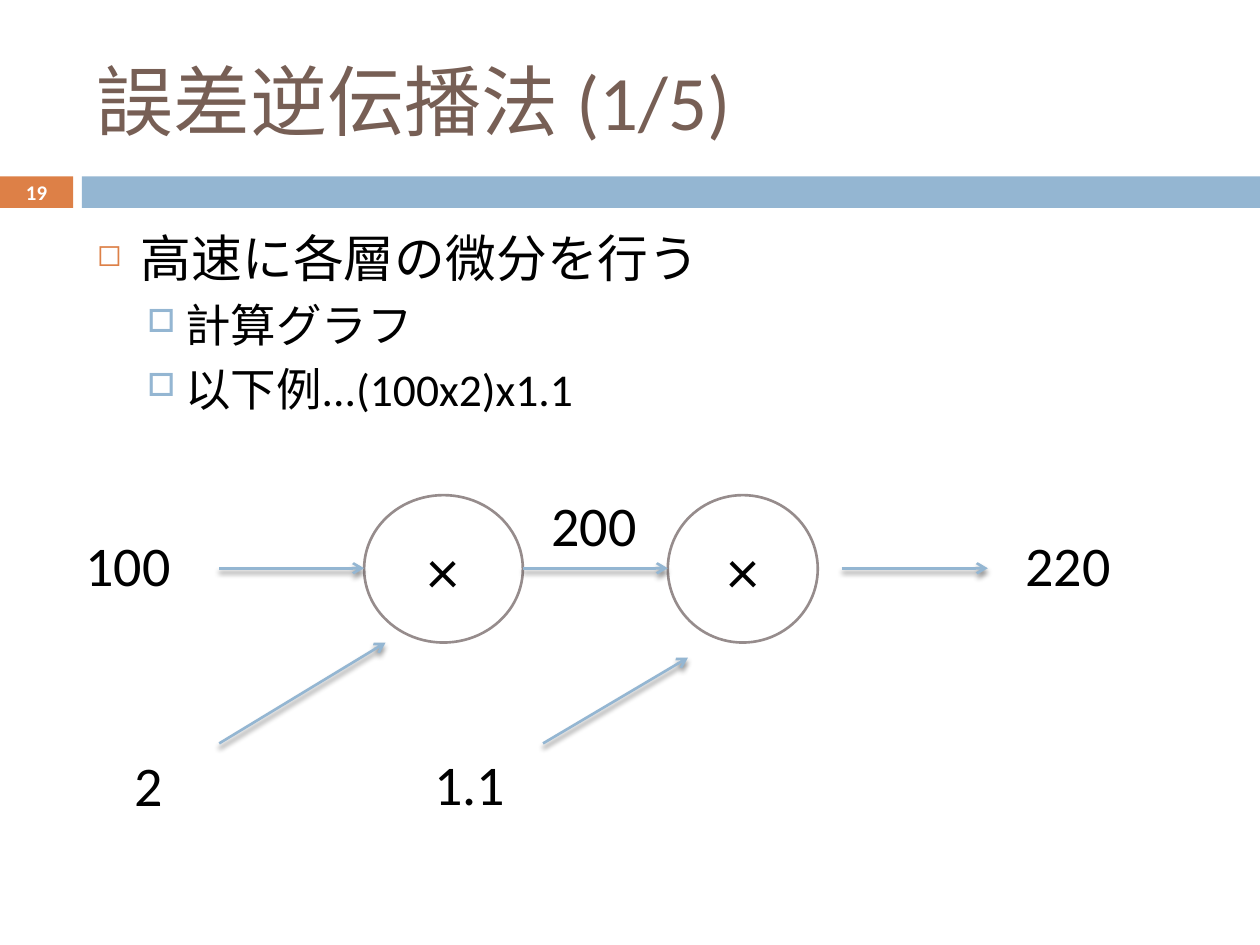
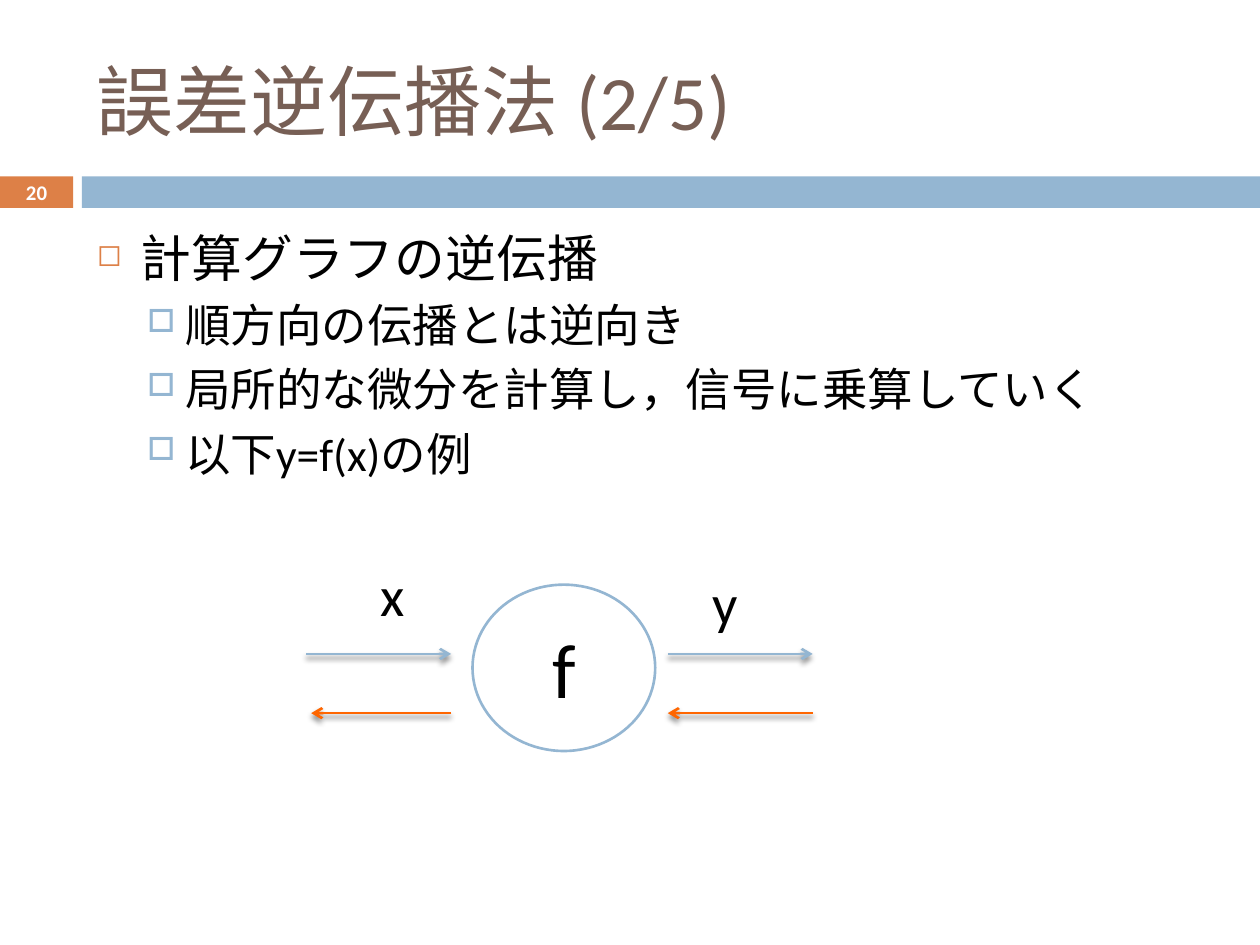
from dataclasses import dataclass
from typing import NamedTuple

from lxml.etree import SubElement
from pptx import Presentation
from pptx.dml.color import RGBColor
from pptx.enum.shapes import MSO_CONNECTOR as Connector, MSO_SHAPE as Shape
from pptx.enum.text import MSO_ANCHOR as Anchor, MSO_AUTO_SIZE as AutoSize, PP_ALIGN as Align
from pptx.oxml.ns import qn
from pptx.util import Inches, Pt


@dataclass(frozen=True)
class Theme:
    font: str = "Calibri"
    white: str = "FFFFFF"
    black: str = "000000"
    brown: str = "775F55"
    orange: str = "DD8047"
    blue: str = "94B6D2"
    grey: str = "968C8C"
    backward: str = "FF6600"
    title_size: float = 44
    number_size: float = 11.9
    label_size: float = 32
    operator_size: float = 36
    function_size: float = 44
    line_width: float = 1.5


class Box(NamedTuple):
    left: float
    top: float
    width: float
    height: float

    def inner(self, left, top, width, height):
        return Box(self.left + left, self.top + top, width, height)

    def point(self, x, y):
        return self.left + x, self.top + y

    def lengths(self):
        return [Inches(value) for value in self]


class Level(NamedTuple):
    size: float
    margin: float
    hanging: float
    space: float
    bullet: str
    color: str
    percent: int


THEME = Theme()
LEVELS = (
    Level(29, 0.35, 0.35, 7, "◻", THEME.orange, 60),
    Level(26, 0.7, 0.3, 5.5, "□", THEME.blue, 70),
)
TITLE_BOX = Box(0.67, 0.25, 8.92, 1.08)
BAND_BOX = Box(0, 1.4, 10, 0.25)
BODY_BOX = Box(0.67, 1.75, 8.92, 2.57)


def rgb(color):
    return RGBColor.from_string(color)


def set_font(para, size, color, bold=False):
    font = para.font
    font.name = THEME.font
    font.size = Pt(size)
    font.bold = bold
    font.color.rgb = rgb(color)


def add_text(page, box, text, size, color=THEME.black, anchor=Anchor.TOP, wrap=True):
    frame = page.shapes.add_textbox(*box.lengths()).text_frame
    frame.word_wrap = wrap
    frame.auto_size = AutoSize.NONE if wrap else AutoSize.SHAPE_TO_FIT_TEXT
    frame.vertical_anchor = anchor
    para = frame.paragraphs[0]
    para.text = text
    set_font(para, size, color)
    return para


def add_filled(page, kind, box, fill):
    shape = page.shapes.add_shape(kind, *box.lengths())
    shape.shadow.inherit = False
    shape.fill.solid()
    shape.fill.fore_color.rgb = rgb(fill)
    shape.line.fill.background()
    return shape


def add_node(page, box, text, size, outline):
    node = add_filled(page, Shape.OVAL, box, THEME.white)
    node.line.color.rgb = rgb(outline)
    node.line.width = Pt(THEME.line_width)
    node.text_frame.vertical_anchor = Anchor.MIDDLE
    para = node.text_frame.paragraphs[0]
    para.text = text
    para.alignment = Align.CENTER
    set_font(para, size, THEME.black)


def add_arrow(page, start, end, color=THEME.blue):
    ends = [Inches(value) for value in (*start, *end)]
    arrow = page.shapes.add_connector(Connector.STRAIGHT, *ends)
    arrow.line.color.rgb = rgb(color)
    arrow.line.width = Pt(THEME.line_width)
    properties = arrow.line._get_or_add_ln()
    SubElement(properties, qn("a:tailEnd"), type="arrow")
    effects = SubElement(properties.getparent(), qn("a:effectLst"))
    shadow = SubElement(effects, qn("a:outerShdw"), blurRad=str(Pt(3)), dist=str(Pt(2.4)),
                        dir="5400000", rotWithShape="0")
    shade = SubElement(shadow, qn("a:srgbClr"), val=THEME.black)
    SubElement(shade, qn("a:alpha"), val="45000")


def add_label(page, box, text):
    add_text(page, box, text, THEME.label_size, wrap=False)


def add_title(page, box, text):
    add_text(page, box, text, THEME.title_size, THEME.brown, Anchor.MIDDLE)


def add_band(page, box, number):
    number_width, gap = 0.58, 0.07
    bar_left = number_width + gap
    number_box = box.inner(0, 0, number_width, box.height)
    add_filled(page, Shape.RECTANGLE, number_box, THEME.orange)
    add_filled(page, Shape.RECTANGLE, box.inner(bar_left, 0, box.width - bar_left, box.height),
               THEME.blue)
    para = add_text(page, number_box, str(number), THEME.number_size, THEME.white, Anchor.MIDDLE)
    para.alignment = Align.CENTER
    para.font.bold = True


def add_bullets(page, box, heading, points):
    frame = page.shapes.add_textbox(*box.lengths()).text_frame
    frame.word_wrap = True
    for index, text in enumerate([heading, *points]):
        depth = min(index, 1)
        level = LEVELS[depth]
        para = frame.add_paragraph() if index else frame.paragraphs[0]
        para.text = text
        para.level = depth
        para.space_before = Pt(level.space)
        properties = para._p.get_or_add_pPr()
        properties.set("marL", str(Inches(level.margin)))
        properties.set("indent", str(-Inches(level.hanging)))
        color = SubElement(properties, qn("a:buClr"))
        SubElement(color, qn("a:srgbClr"), val=level.color)
        SubElement(properties, qn("a:buSzPct"), val=str(level.percent * 1000))
        SubElement(properties, qn("a:buChar"), char=level.bullet)
        set_font(para, level.size, THEME.black)


def add_forward_graph(page, box):
    node_top, node_height, axis = 0.09, 1.17, 0.67
    first = box.inner(2.31, node_top, 1.26, node_height)
    second = box.inner(4.72, node_top, 1.19, node_height)
    for node in (first, second):
        add_node(page, node, "×", THEME.operator_size, THEME.grey)

    for start, end in (
        ((1.16, axis), (2.31, axis)),
        ((3.57, axis), (4.72, axis)),
        ((6.1, axis), (7.26, axis)),
        ((1.16, 2.06), (2.48, 1.26)),
        ((3.73, 2.06), (4.88, 1.38)),
    ):
        add_arrow(page, box.point(*start), box.point(*end))

    for text, left, top, width in (
        ("100", 0, 0.32, 0.94),
        ("2", 0.39, 2.07, 0.45),
        ("1.1", 2.77, 2.06, 0.8),
        ("200", 3.7, 0, 0.94),
        ("220", 7.46, 0.32, 0.94),
    ):
        add_label(page, box.inner(left, top, width, 0.64), text)


def add_backward_graph(page, box):
    add_node(page, box.inner(1.32, 0.24, 1.45, 1.32), "f", THEME.function_size, THEME.blue)
    forward, backward = 0.79, 1.26
    for start, end, height, color in (
        (0, 1.15, forward, THEME.blue),
        (2.87, 4.02, forward, THEME.blue),
        (4.02, 2.87, backward, THEME.backward),
        (1.15, 0.04, backward, THEME.backward),
    ):
        add_arrow(page, box.point(start, height), box.point(end, height), color)
    add_label(page, box.inner(0.49, 0, 0.43, 0.64), "x")
    add_label(page, box.inner(3.13, 0.06, 0.43, 0.64), "y")


def add_page(deck, number, title, heading, points, add_graph, graph_box):
    page = deck.slides.add_slide(deck.slide_layouts[6])
    add_band(page, BAND_BOX, number)
    add_title(page, TITLE_BOX, title)
    add_bullets(page, BODY_BOX, heading, points)
    add_graph(page, graph_box)


def main():
    deck = Presentation()
    deck.slide_width, deck.slide_height = Inches(10), Inches(7.5)
    add_page(deck, 19, "誤差逆伝播法 (1/5)", "高速に各層の微分を行う",
             ["計算グラフ", "以下例...(100x2)x1.1"],
             add_forward_graph, Box(0.58, 3.84, 8.4, 2.71))
    add_page(deck, 20, "誤差逆伝播法 (2/5)", "計算グラフの逆伝播",
             ["順方向の伝播とは逆向き", "局所的な微分を計算し，信号に乗算していく", "以下y=f(x)の例"],
             add_backward_graph, Box(2.43, 4.4, 4.02, 1.56))
    deck.save("out.pptx")


if __name__ == "__main__":
    main()
